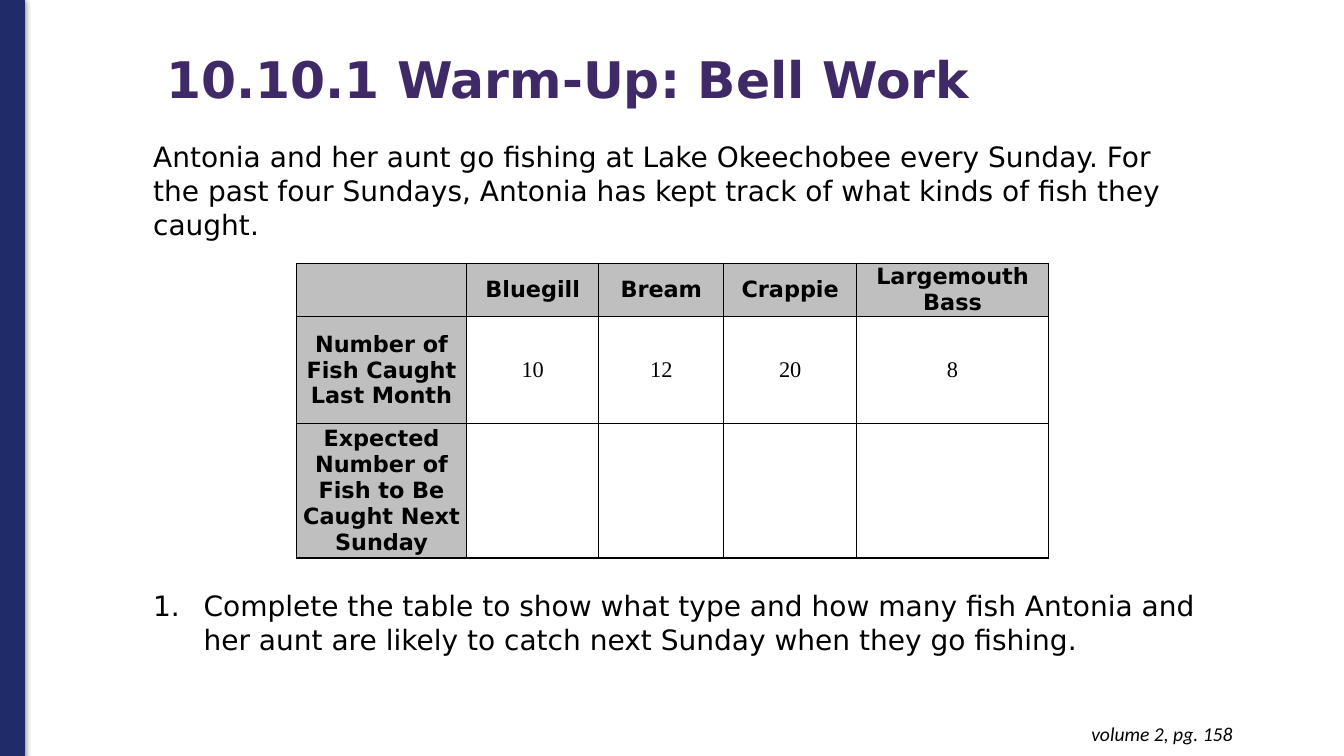
from collections import namedtuple
from dataclasses import dataclass

from lxml import etree
from pptx import Presentation
from pptx.dml.color import RGBColor
from pptx.enum.shapes import MSO_SHAPE as Preset
from pptx.enum.text import MSO_ANCHOR as Anchor, MSO_AUTO_SIZE as AutoSize, PP_ALIGN as Align
from pptx.oxml import parse_xml
from pptx.oxml.ns import qn
from pptx.util import Cm, Pt

Box = namedtuple("Box", "left top width height")
DRAWING = 'xmlns:a="http://schemas.openxmlformats.org/drawingml/2006/main"'


@dataclass(frozen=True)
class Theme:
    navy: str = "202B6A"
    purple: str = "3F2A67"
    black: str = "000000"
    grey: str = "BFBFBF"
    sans: str = "DejaVu Sans"
    serif: str = "Times New Roman"
    footer_font: str = "Calibri"
    title_size: int = 36
    body_size: int = 20
    table_size: int = 16
    footer_size: int = 14


THEME = Theme()
TITLE = {"name": THEME.sans, "size": Pt(THEME.title_size), "bold": True}
BODY = {"name": THEME.sans, "size": Pt(THEME.body_size)}
HEADING = {"name": THEME.sans, "size": Pt(THEME.table_size), "bold": True}
VALUE = {"name": THEME.serif, "size": Pt(THEME.table_size), "bold": False}
FOOTER = {"name": THEME.footer_font, "size": Pt(THEME.footer_size), "italic": True}

FISH_ROWS = [
    ["", "Bluegill", "Bream", "Crappie", "Largemouth Bass"],
    ["Number of Fish Caught Last Month", "10", "12", "20", "8"],
    ["Expected Number of Fish to Be Caught Next Sunday", "", "", "", ""],
]
COLUMN_SHARES = [4.29, 3.33, 3.15, 3.35, 4.83]
ROW_SHARES = [1.09, 2.69, 3.23]


def apply_formats(target, formats):
    for name, value in formats.items():
        setattr(target, name, value)


def lengths(box):
    return [Cm(value) for value in box]


def write(paragraph, text, formats, color):
    run = paragraph.add_run()
    run.text = text
    apply_formats(run.font, formats)
    run.font.color.rgb = RGBColor.from_string(color)


def draw_sidebar(slide, box):
    shape = slide.shapes.add_shape(Preset.RECTANGLE, *lengths(box))
    shape.fill.solid()
    shape.fill.fore_color.rgb = RGBColor.from_string(THEME.navy)
    shape.line.color.rgb = RGBColor.from_string(THEME.navy)
    shape.line.width = Pt(0.75)
    shape.shadow.inherit = False
    effects = shape.element.spPr.find(qn("a:effectLst"))
    effects.append(parse_xml(
        f'<a:outerShdw {DRAWING} blurRad="{Pt(4.5)}" dist="{Pt(1.5)}" dir="5400000" '
        f'rotWithShape="0"><a:srgbClr val="{THEME.black}"><a:alpha val="50000"/>'
        "</a:srgbClr></a:outerShdw>"))


def draw_text(slide, box, text, formats, color=THEME.black, frame_formats=None):
    frame = slide.shapes.add_textbox(*lengths(box)).text_frame
    apply_formats(frame, {"word_wrap": True, "auto_size": AutoSize.SHAPE_TO_FIT_TEXT})
    apply_formats(frame, frame_formats or {})
    paragraph = frame.paragraphs[0]
    write(paragraph, text, formats, color)
    return paragraph


def draw_title(slide, box, text):
    frame_formats = {"vertical_anchor": Anchor.MIDDLE, "auto_size": AutoSize.NONE}
    paragraph = draw_text(slide, box, text, TITLE, THEME.purple, frame_formats)
    paragraph.line_spacing = 0.9


def draw_question(slide, box, text):
    paragraph = draw_text(slide, box, text, BODY)
    properties = paragraph._p.get_or_add_pPr()
    properties.set("marL", str(Cm(1.27)))
    properties.set("indent", str(-Cm(1.27)))
    etree.SubElement(properties, qn("a:buFont"), typeface="+mj-lt")
    etree.SubElement(properties, qn("a:buAutoNum"), type="arabicPeriod")


def draw_footer(slide, box, text):
    margins = {f"margin_{side}": Cm(0.25) for side in ("left", "top", "right", "bottom")}
    paragraph = draw_text(slide, box, text, FOOTER, frame_formats=margins)
    paragraph.alignment = Align.RIGHT


def add_borders(cell):
    properties = cell._tc.get_or_add_tcPr()
    for side in ("lnL", "lnR", "lnT", "lnB"):
        properties.append(parse_xml(
            f'<a:{side} {DRAWING} w="{Pt(1)}"><a:solidFill>'
            f'<a:srgbClr val="{THEME.black}"/></a:solidFill></a:{side}>'))


def fill_cell(cell, text, is_heading):
    apply_formats(cell, {
        "vertical_anchor": Anchor.MIDDLE,
        "margin_left": Cm(0.15), "margin_right": Cm(0.15),
        "margin_top": 0, "margin_bottom": 0,
    })
    add_borders(cell)
    if is_heading:
        cell.fill.solid()
        cell.fill.fore_color.rgb = RGBColor.from_string(THEME.grey)
    else:
        cell.fill.background()
    if text:
        paragraph = cell.text_frame.paragraphs[0]
        paragraph.alignment = Align.CENTER
        write(paragraph, text, HEADING if is_heading else VALUE, THEME.black)


def draw_fish_table(slide, box):
    table = slide.shapes.add_table(len(ROW_SHARES), len(COLUMN_SHARES), *lengths(box)).table
    apply_formats(table, {"first_row": False, "horz_banding": False})
    for column, share in zip(table.columns, COLUMN_SHARES):
        column.width = Cm(box.width * share / sum(COLUMN_SHARES))
    for row, share in zip(table.rows, ROW_SHARES):
        row.height = Cm(box.height * share / sum(ROW_SHARES))
    for row_index, texts in enumerate(FISH_ROWS):
        for column_index, text in enumerate(texts):
            is_heading = row_index == 0 or column_index == 0
            fill_cell(table.cell(row_index, column_index), text, is_heading)


def main():
    presentation = Presentation()
    apply_formats(presentation, {"slide_width": Cm(33.87), "slide_height": Cm(19.05)})
    slide = presentation.slides.add_slide(presentation.slide_layouts[6])
    draw_sidebar(slide, Box(0, -0.02, 0.61, 19.07))
    draw_title(slide, Box(3.94, 0.23, 22.28, 3.68), "10.10.1 Warm-Up: Bell Work")
    draw_text(
        slide, Box(3.61, 3.4, 26.92, 2.82),
        "Antonia and her aunt go fishing at Lake Okeechobee every Sunday. For the past "
        "four Sundays, Antonia has kept track of what kinds of fish they caught.", BODY)
    draw_fish_table(slide, Box(7.47, 6.63, 18.95, 7.01))
    draw_question(
        slide, Box(3.61, 14.71, 26.92, 1.96),
        "Complete the table to show what type and how many fish Antonia and her aunt "
        "are likely to catch next Sunday when they go fishing.")
    draw_footer(slide, Box(24, 17.93, 7.32, 1.12), "volume 2, pg. 158")
    presentation.save("out.pptx")


if __name__ == "__main__":
    main()
